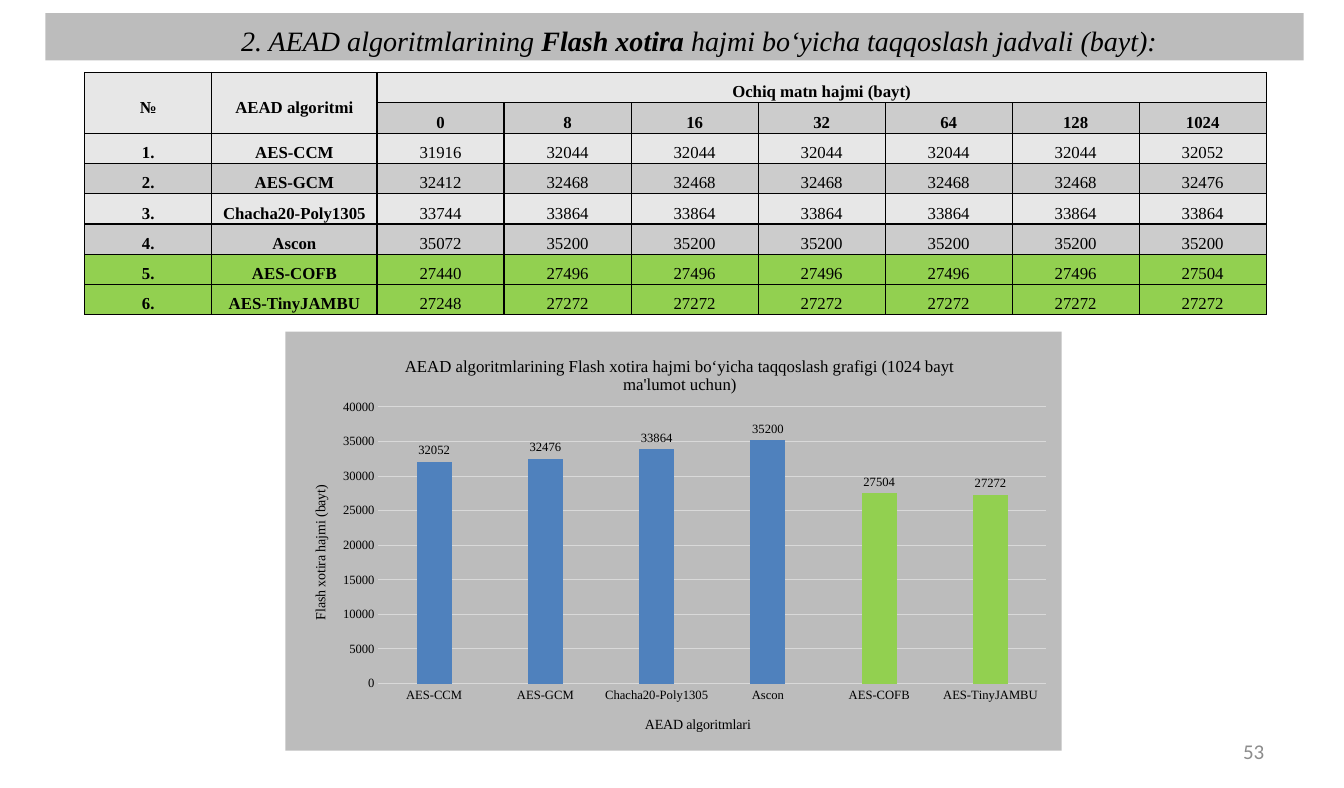
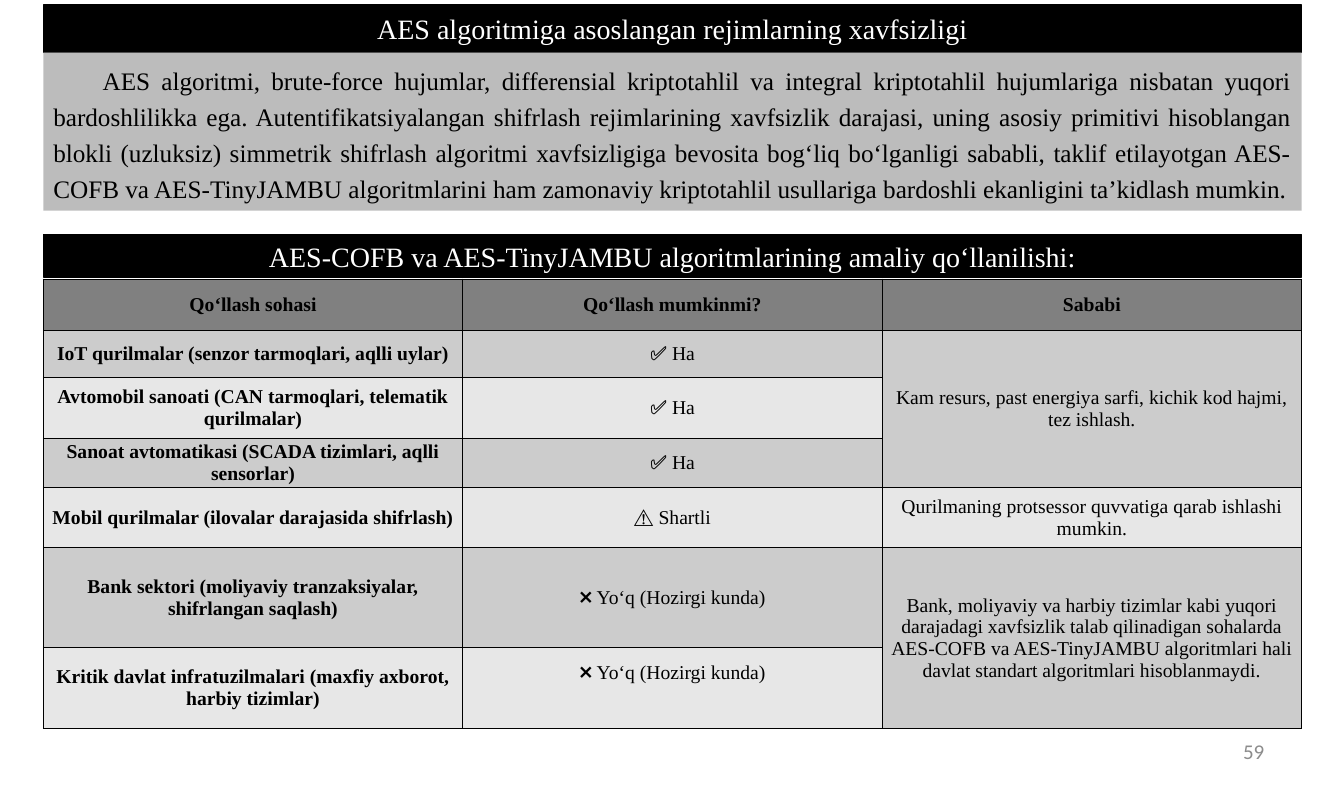
from dataclasses import dataclass
from typing import Any, Optional, Sequence, Union

import lxml.etree
import pptx
import pptx.chart.data
import pptx.dml.color
import pptx.enum.chart
import pptx.enum.shapes
import pptx.enum.text
import pptx.oxml.ns
import pptx.util

Inches = pptx.util.Inches
Pt = pptx.util.Pt
qn = pptx.oxml.ns.qn
ALIGN = pptx.enum.text.PP_ALIGN
MIDDLE = pptx.enum.text.MSO_ANCHOR.MIDDLE


@dataclass(frozen=True)
class Theme:
    font: str = "Times New Roman"
    number_font: str = "Calibri"
    black: str = "000000"
    white: str = "FFFFFF"
    panel: str = "A6A6A6"
    panel_alpha: int = 75
    header: str = "808080"
    light: str = "E7E7E7"
    dark: str = "CCCCCC"
    green: str = "92D050"
    blue: str = "4F81BD"
    grid: str = "D9D9D9"
    page_number: str = "8C8C8C"
    title_size: float = 20
    body_size: float = 18
    number_size: float = 15
    usage_size: float = 14
    memory_size: float = 12
    axis_title_size: float = 10
    label_size: float = 9


THEME = Theme()


@dataclass(frozen=True)
class Span:
    text: str
    bold: bool = False


@dataclass(frozen=True)
class Area:
    """A rectangle in inches."""
    left: float
    top: float
    width: float
    height: float

    def lengths(self) -> tuple:
        return tuple(Inches(n) for n in (self.left, self.top, self.width, self.height))


@dataclass(frozen=True)
class Algorithm:
    name: str
    sizes: tuple
    proposed: bool = False


@dataclass(frozen=True)
class Usage:
    field: str
    answer: str
    height: float
    reason: str = ""
    reason_rows: int = 1
    bottom: float = 0.01


TEXT_SIZES = (0, 8, 16, 32, 64, 128, 1024)
ALGORITHMS = (
    Algorithm("AES-CCM", (31916, *[32044] * 5, 32052)),
    Algorithm("AES-GCM", (32412, *[32468] * 5, 32476)),
    Algorithm("Chacha20-Poly1305", (33744, *[33864] * 6)),
    Algorithm("Ascon", (35072, *[35200] * 6)),
    Algorithm("AES-COFB", (27440, *[27496] * 5, 27504), proposed=True),
    Algorithm("AES-TinyJAMBU", (27248, *[27272] * 6), proposed=True),
)
USAGES = (
    Usage("IoT qurilmalar (senzor tarmoqlari, aqlli uylar)", "✅ Ha", 0.47,
          "Kam resurs, past energiya sarfi, kichik kod hajmi, tez ishlash.", 3),
    Usage("Avtomobil sanoati (CAN tarmoqlari, telematik qurilmalar)", "✅ Ha", 0.6),
    Usage("Sanoat avtomatikasi (SCADA tizimlari, aqlli sensorlar)", "✅ Ha", 0.47),
    Usage("Mobil qurilmalar (ilovalar darajasida shifrlash)", "⚠️ Shartli", 0.6,
          "Qurilmaning protsessor quvvatiga qarab ishlashi mumkin."),
    Usage("Bank sektori (moliyaviy tranzaksiyalar, shifrlangan saqlash)",
          "❌ Yo‘q (Hozirgi kunda)", 0.99,
          "Bank, moliyaviy va harbiy tizimlar kabi yuqori darajadagi xavfsizlik talab "
          "qilinadigan sohalarda AES-COFB va AES-TinyJAMBU algoritmlari hali davlat "
          "standart algoritmlari hisoblanmaydi.", 2),
    Usage("Kritik davlat infratuzilmalari (maxfiy axborot, harbiy tizimlar)",
          "❌ Yo‘q (Hozirgi kunda)", 0.8, bottom=0.31),
)
SECURITY_TEXT = (
    "AES algoritmi, brute-force hujumlar, differensial kriptotahlil va integral "
    "kriptotahlil hujumlariga nisbatan yuqori bardoshlilikka ega. Autentifikatsiyalangan "
    "shifrlash rejimlarining xavfsizlik darajasi, uning asosiy primitivi hisoblangan "
    "blokli (uzluksiz) simmetrik shifrlash algoritmi xavfsizligiga bevosita bog‘liq "
    "bo‘lganligi sababli, taklif etilayotgan AES-COFB va AES-TinyJAMBU algoritmlarini ham "
    "zamonaviy kriptotahlil usullariga bardoshli ekanligini ta’kidlash mumkin."
)


def rgb(color: str) -> pptx.dml.color.RGBColor:
    return pptx.dml.color.RGBColor.from_string(color)


def add_child(parent: Any, tag: str, **attributes: Any) -> Any:
    values = {name: str(value) for name, value in attributes.items()}
    return lxml.etree.SubElement(parent, qn(tag), values)


def set_font(font: Any, size: float, *, color: str = THEME.black, name: str = THEME.font,
             bold: bool = False, italic: bool = False) -> None:
    font.size, font.name, font.bold, font.italic = Pt(size), name, bold, italic
    font.color.rgb = rgb(color)


def write(frame: Any, text: Union[str, Sequence[Span]], *, size: float,
          color: str = THEME.black, name: str = THEME.font, bold: bool = False,
          italic: bool = False, align: Any = ALIGN.CENTER,
          spacing: Optional[float] = None, indent: float = 0) -> None:
    """Fill the first paragraph of a frame with formatted spans."""
    para = frame.paragraphs[0]
    para.alignment = align
    if spacing:
        para.line_spacing = spacing
    if indent:
        properties = para._p.get_or_add_pPr()
        properties.set("marL", "0")
        properties.set("indent", str(Inches(indent)))
    for span in [Span(text, bold)] if isinstance(text, str) else text:
        run = para.add_run()
        run.text = span.text
        set_font(run.font, size, color=color, name=name, bold=span.bold, italic=italic)


def format_band(box: Any, area: Area, text: Union[str, Sequence[Span]], *,
                panel: bool = False, **text_format: Any) -> None:
    """Place a black band, or a translucent grey panel, and write its text."""
    box.left, box.top, box.width, box.height = area.lengths()
    box.fill.solid()
    box.fill.fore_color.rgb = rgb(THEME.panel if panel else THEME.black)
    if panel:
        for color in box.element.spPr.iter(qn("a:srgbClr")):
            add_child(color, "a:alpha", val=THEME.panel_alpha * 1000)
        box.line.fill.background()
    else:
        box.line.color.rgb = rgb(THEME.black)
        box.line.width = Pt(1)
    frame = box.text_frame
    frame.word_wrap = True
    frame.auto_size = pptx.enum.text.MSO_AUTO_SIZE.NONE
    frame.vertical_anchor = MIDDLE
    write(frame, text, color=THEME.black if panel else THEME.white, **text_format)


def add_band(page: Any, area: Area, text: str, **options: Any) -> None:
    box = page.shapes.add_shape(pptx.enum.shapes.MSO_SHAPE.RECTANGLE, *area.lengths())
    box.shadow.inherit = False
    format_band(box, area, text, **options)


def add_page(deck: Any, number: int) -> Any:
    page = deck.slides.add_slide(deck.slide_layouts[5])
    box = page.shapes.add_textbox(*Area(9.55, 7.24, 3.11, 0.42).lengths())
    box.text_frame.word_wrap = True
    box.text_frame.vertical_anchor = MIDDLE
    box.text_frame.margin_left = box.text_frame.margin_right = Inches(0.12)
    write(box.text_frame, str(number), size=THEME.number_size, color=THEME.page_number,
          name=THEME.number_font, align=ALIGN.RIGHT)
    return page


def add_grid(page: Any, left: float, top: float, columns: Sequence[float],
             rows: Sequence[float]) -> Any:
    area = Area(left, top, sum(columns), sum(rows))
    table = page.shapes.add_table(len(rows), len(columns), *area.lengths()).table
    for column, width in zip(table.columns, columns):
        column.width = Inches(width)
    for row, height in zip(table.rows, rows):
        row.height = Inches(height)
    return table


def fill_cell(cell: Any, text: str, color: str, *, side: float, top: float, bottom: float,
              **text_format: Any) -> None:
    properties = cell._tc.get_or_add_tcPr()
    for edge in ("a:lnL", "a:lnR", "a:lnT", "a:lnB"):
        line = add_child(properties, edge, w=Pt(1))
        add_child(add_child(line, "a:solidFill"), "a:srgbClr", val=THEME.black)
    cell.fill.solid()
    cell.fill.fore_color.rgb = rgb(color)
    cell.margin_left = cell.margin_right = Inches(side)
    cell.margin_top, cell.margin_bottom = Inches(top), Inches(bottom)
    cell.vertical_anchor = MIDDLE
    if text:
        write(cell.text_frame, text, **text_format)


def add_memory_table(page: Any) -> None:
    count = len(TEXT_SIZES)
    rows = [("№", "AEAD algoritmi", "Ochiq matn hajmi (bayt)", *[""] * (count - 1)),
            ("", "", *TEXT_SIZES)]
    rows += [(f"{i}.", item.name, *item.sizes) for i, item in enumerate(ALGORITHMS, 1)]
    table = add_grid(page, 0.84, 0.72, [1.26, 1.64] + [1.26] * count, [0.28] * len(rows))
    for i, values in enumerate(rows):
        color = THEME.dark if i % 2 else THEME.light
        if i >= 2 and ALGORITHMS[i - 2].proposed:
            color = THEME.green
        for j, value in enumerate(values):
            fill_cell(table.cell(i, j), str(value), color, side=0.07, top=0, bottom=0,
                      size=THEME.memory_size, bold=i < 2 or j < 2, spacing=1.5)
    for j in range(2):
        table.cell(0, j).merge(table.cell(1, j))
    table.cell(0, 2).merge(table.cell(0, count + 1))


def add_usage_table(page: Any) -> None:
    table = add_grid(page, 0.43, 2.77, [4.16] * 3, [0.51] + [item.height for item in USAGES])
    titles = Usage("Qo‘llash sohasi", "Qo‘llash mumkinmi?", 0.51, "Sababi")
    for i, item in enumerate((titles, *USAGES)):
        color = THEME.dark if i % 2 else THEME.light
        for j, text in enumerate((item.field, item.answer, item.reason)):
            fill_cell(table.cell(i, j), text, color if i else THEME.header, side=0.01,
                      top=0.01, bottom=item.bottom if j == 1 else 0.01,
                      size=THEME.usage_size, bold=i == 0 or j == 0)
        if item.reason_rows > 1:
            table.cell(i, 2).merge(table.cell(i + item.reason_rows - 1, 2))


def set_layout(parent: Any, **fractions: float) -> None:
    """Place a chart part by fractions of the chart's size."""
    for old in parent.findall(qn("c:layout")):
        parent.remove(old)
    layout = lxml.etree.Element(qn("c:layout"))
    manual = add_child(layout, "c:manualLayout")
    if "w" in fractions:
        add_child(manual, "c:layoutTarget", val="inner")
    for mode in ("c:xMode", "c:yMode"):
        add_child(manual, mode, val="edge")
    for name, value in fractions.items():
        add_child(manual, f"c:{name}", val=value)
    text = parent.find(qn("c:tx"))
    if text is None:
        parent.insert(0, layout)
    else:
        text.addnext(layout)


def fill_chart(chart: Any) -> None:
    properties = lxml.etree.Element(qn("c:spPr"))
    color = add_child(add_child(properties, "a:solidFill"), "a:srgbClr", val=THEME.panel)
    add_child(color, "a:alpha", val=THEME.panel_alpha * 1000)
    add_child(add_child(properties, "a:ln"), "a:noFill")
    chart.element.find(qn("c:chart")).addnext(properties)


def add_memory_chart(page: Any) -> None:
    data = pptx.chart.data.CategoryChartData()
    data.categories = [item.name for item in ALGORITHMS]
    data.add_series("Series 1", [item.sizes[-1] for item in ALGORITHMS])
    chart = page.shapes.add_chart(pptx.enum.chart.XL_CHART_TYPE.COLUMN_CLUSTERED,
                                  *Area(2.83, 3.29, 7.7, 4.16).lengths(), data).chart
    set_font(chart.font, THEME.axis_title_size)
    fill_chart(chart)
    chart.has_legend = False
    set_layout(chart.element.find(qn("c:chart")).find(qn("c:plotArea")),
               x=0.12, y=0.18, w=0.86, h=0.66)

    category, value = chart.category_axis, chart.value_axis
    titles = (
        (chart.chart_title, "AEAD algoritmlarining Flash xotira hajmi bo‘yicha taqqoslash "
         "grafigi (1024 bayt ma'lumot uchun)", THEME.memory_size, 0.15, 0.05),
        (category.axis_title, "AEAD algoritmlari", THEME.axis_title_size, 0.46, 0.91),
        (value.axis_title, "Flash xotira hajmi (bayt)", THEME.axis_title_size, 0.03, 0.36),
    )
    for title, text, size, x, y in titles:
        write(title.text_frame, text, size=size)
        set_layout(title.element, x=x, y=y)

    for axis in (category, value):
        set_font(axis.tick_labels.font, THEME.label_size)
        axis.major_tick_mark = axis.minor_tick_mark = pptx.enum.chart.XL_TICK_MARK.NONE
    value.minimum_scale, value.maximum_scale, value.major_unit = 0, 40000, 5000
    value.format.line.fill.background()
    for line in (category.format.line, value.major_gridlines.format.line):
        line.color.rgb = rgb(THEME.grid)
        line.width = Pt(0.75)

    plot = chart.plots[0]
    plot.gap_width, plot.overlap, plot.vary_by_categories = 219, -27, False
    plot.has_data_labels = True
    plot.data_labels.show_value = True
    plot.data_labels.position = pptx.enum.chart.XL_LABEL_POSITION.OUTSIDE_END
    set_font(plot.data_labels.font, THEME.label_size)
    series = plot.series[0]
    series.invert_if_negative = False
    series.format.fill.solid()
    series.format.fill.fore_color.rgb = rgb(THEME.blue)
    for i, item in enumerate(ALGORITHMS):
        if item.proposed:
            fill = series.points[i].format.fill
            fill.solid()
            fill.fore_color.rgb = rgb(THEME.green)


def build_memory_page(deck: Any) -> None:
    page = add_page(deck, 53)
    title = [Span("2. AEAD algoritmlarining "), Span("Flash xotira ", bold=True),
             Span("hajmi bo‘yicha taqqoslash jadvali (bayt):")]
    format_band(page.shapes.title, Area(0.45, 0.13, 12.48, 0.47), title, panel=True,
                size=THEME.title_size, italic=True, spacing=1.2, indent=0.49)
    add_memory_table(page)
    add_memory_chart(page)


def build_security_page(deck: Any) -> None:
    page = add_page(deck, 59)
    format_band(page.shapes.title, Area(0.43, 0.05, 12.48, 0.47),
                "AES algoritmiga asoslangan rejimlarning xavfsizligi", size=THEME.title_size)
    add_band(page, Area(0.43, 0.52, 12.48, 1.57), SECURITY_TEXT, panel=True,
             size=THEME.body_size, align=ALIGN.JUSTIFY, spacing=1.2, indent=0.49)
    add_band(page, Area(0.43, 2.33, 12.48, 0.42),
             "AES-COFB va AES-TinyJAMBU algoritmlarining amaliy qo‘llanilishi:",
             size=THEME.title_size)
    add_usage_table(page)


def main() -> None:
    deck = pptx.Presentation()
    deck.slide_width, deck.slide_height = Inches(13.33), Inches(7.82)
    build_memory_page(deck)
    build_security_page(deck)
    deck.save("out.pptx")


if __name__ == "__main__":
    main()
